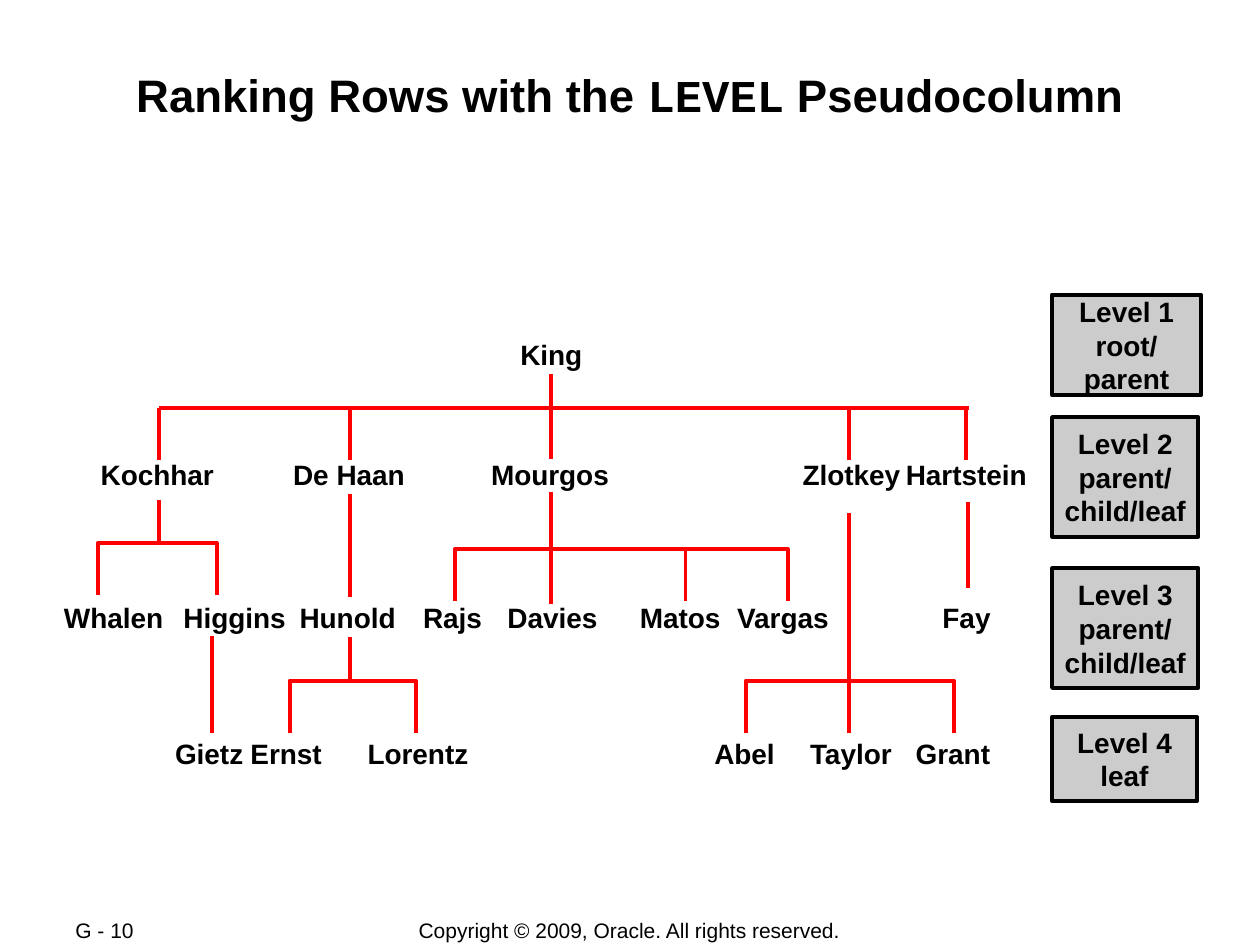
from pptx import Presentation, util as u
from pptx.dml.color import RGBColor
from pptx.enum import shapes, text
from pptx.oxml.ns import qn
from lxml import etree

COLORS = {"ink": "000000", "branch": "FF0000", "panel": "CCCCCC"}
LABEL_TOPS = [6.68, 9.09, 11.99, 14.73]
LABEL_HEIGHT = 0.94
BUS_Y = 8.23
BRACKET_DROP = 1.05

NAMES = [
    [("King", 10.24, 1.75)],
    [("Kochhar", 1.78, 2.79), ("De Haan", 5.66, 2.77), ("Mourgos", 9.65, 2.9),
     ("Zlotkey", 15.93, 2.49), ("Hartstein", 18.01, 2.95)],
    [("Whalen", 1.04, 2.51), ("Higgins", 3.45, 2.57), ("Hunold", 5.79, 2.46),
     ("Rajs", 8.28, 1.7), ("Davies", 9.98, 2.34), ("Matos", 12.65, 2.13),
     ("Vargas", 14.61, 2.39), ("Fay", 18.75, 1.65)],
    [("Gietz", 3.28, 1.88), ("Ernst", 4.8, 1.96), ("Lorentz", 7.16, 2.54),
     ("Abel", 14.15, 1.73), ("Taylor", 16.08, 2.21), ("Grant", 18.21, 2.01)],
]
BUS_DROPS = [3.2, 7.06, 17.12, 19.48]
STEMS = [
    (11.1, 7.54, 8.38), (11.1, 8.38, 9.25), (11.1, 9.91, 11.18), (11.1, 11.1, 12.17),
    (3.2, 10.08, 10.95), (7.06, 9.96, 12.04), (7.06, 12.85, 13.72), (4.27, 12.83, 14.78),
    (17.12, 10.34, 13.72), (17.12, 13.72, 14.78), (19.51, 10.11, 11.86),
]
BRACKETS = [(1.98, 4.37, 10.95), (9.17, 13.82, 11.07), (13.82, 15.88, 11.07),
            (5.84, 8.38, 13.72), (15.04, 19.23, 13.72)]
LEVELS = [
    ("Level 1\nroot/\nparent", 5.94, 3, 2.03),
    ("Level 2\nparent/\nchild/leaf", 8.41, 2.95, 2.41),
    ("Level 3\nparent/\nchild/leaf", 11.46, 2.95, 2.41),
    ("Level 4\nleaf", 14.45, 2.92, 1.7),
]


class TreeSlide:
    """Hold the shared style and draw elements on the current page, in centimetres."""

    font = "Arial"
    code_font = "Courier New"
    line_width = u.Pt(2.25)

    def __init__(self, page):
        self.page = page

    def color(self, name):
        return RGBColor.from_string(COLORS[name])

    def style_text(self, box, size, bold, align):
        for para in box.text_frame.paragraphs:
            para.alignment = align
            for span in para.runs:
                span.font.name = self.font
                span.font.size = u.Pt(size)
                span.font.bold = bold
                span.font.color.rgb = self.color("ink")

    def style_line(self, shape, name):
        shape.line.color.rgb = self.color(name)
        shape.line.width = self.line_width

    def title(self, parts, left, top, width, height):
        box = self.page.shapes.add_textbox(*map(u.Cm, (left, top, width, height)))
        frame = box.text_frame
        frame.word_wrap = True
        frame.margin_left = frame.margin_right = frame.margin_bottom = u.Cm(0.03)
        frame.margin_top = u.Cm(0.13)
        for part in parts:
            frame.paragraphs[0].add_run().text = part
        self.style_text(box, 26, True, text.PP_ALIGN.CENTER)
        frame.paragraphs[0].runs[1].font.name = self.code_font

    def label(self, words, left, top, width):
        box = self.page.shapes.add_textbox(*map(u.Cm, (left, top, width, LABEL_HEIGHT)))
        box.text_frame.text = words
        box.text_frame.word_wrap = False
        box.text_frame.auto_size = text.MSO_AUTO_SIZE.SHAPE_TO_FIT_TEXT
        self.style_text(box, 16, True, text.PP_ALIGN.LEFT)

    def footer(self, words, left, width, align):
        box = self.page.shapes.add_textbox(*map(u.Cm, (left, 18.49, width, 0.53)))
        box.text_frame.text = words
        box.text_frame.word_wrap = True
        box.text_frame.vertical_anchor = text.MSO_ANCHOR.MIDDLE
        self.style_text(box, 12, False, align)

    def level(self, words, top, width, height):
        box = self.page.shapes.add_shape(
            shapes.MSO_SHAPE.RECTANGLE, *map(u.Cm, (21.21, top, width, height)))
        box.shadow.inherit = False
        box.fill.solid()
        box.fill.fore_color.rgb = self.color("panel")
        self.style_line(box, "ink")
        box.text_frame.text = words
        box.text_frame.word_wrap = False
        box.text_frame.vertical_anchor = text.MSO_ANCHOR.MIDDLE
        self.style_text(box, 16, True, text.PP_ALIGN.CENTER)

    def branch(self, x1, y1, x2, y2):
        line = self.page.shapes.add_connector(
            shapes.MSO_CONNECTOR.STRAIGHT, *map(u.Cm, (x1, y1, x2, y2)))
        self.style_line(line, "branch")
        etree.SubElement(line._element.spPr, qn("a:effectLst"))

    def bracket(self, left, right, top):
        bottom = top + BRACKET_DROP
        builder = self.page.shapes.build_freeform(u.Cm(left), u.Cm(bottom))
        corners = [(left, top), (right, top), (right, bottom)]
        builder.add_line_segments([(u.Cm(x), u.Cm(y)) for x, y in corners], close=False)
        outline = builder.convert_to_shape()
        outline.shadow.inherit = False
        outline.fill.background()
        self.style_line(outline, "branch")


def main():
    deck = Presentation()
    deck.slide_width, deck.slide_height = u.Cm(25.4), u.Cm(19.05)
    tree = TreeSlide(deck.slides.add_slide(deck.slide_layouts[6]))

    tree.footer("Copyright © 2009, Oracle. All rights reserved.", 6.99, 11.4,
                text.PP_ALIGN.CENTER)
    tree.footer("G - 10", 1.27, 2.69, text.PP_ALIGN.LEFT)
    tree.title(["Ranking Rows with the ", "LEVEL", " Pseudocolumn"], 1.7, 1.22, 22, 2.44)

    tree.branch(3.2, BUS_Y, 13.21, BUS_Y)
    tree.branch(13.21, BUS_Y, 19.53, BUS_Y)
    for x in BUS_DROPS:
        tree.branch(x, BUS_Y, x, 9.27)
    for x, top, bottom in STEMS:
        tree.branch(x, top, x, bottom)
    for bracket in BRACKETS:
        tree.bracket(*bracket)
    for top, row in zip(LABEL_TOPS, NAMES):
        for name, left, width in row:
            tree.label(name, left, top, width)
    for level in LEVELS:
        tree.level(*level)

    deck.save("out.pptx")


if __name__ == "__main__":
    main()
